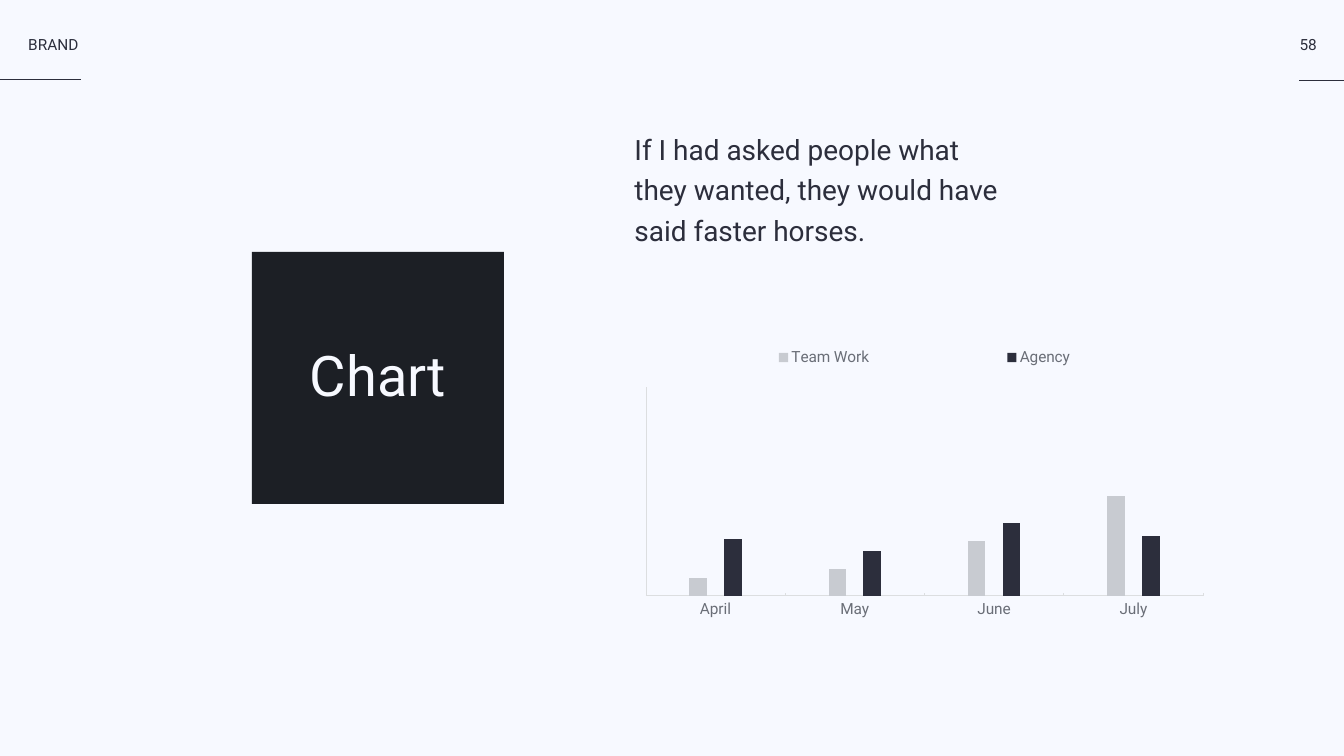
from lxml import etree
from pptx import Presentation
from pptx.chart.data import CategoryChartData
from pptx.dml.color import RGBColor
from pptx.enum.chart import XL_CHART_TYPE, XL_LEGEND_POSITION, XL_TICK_LABEL_POSITION, XL_TICK_MARK
from pptx.enum.shapes import MSO_CONNECTOR, MSO_SHAPE
from pptx.enum.text import MSO_ANCHOR, MSO_AUTO_SIZE, PP_ALIGN
from pptx.oxml import parse_xml
from pptx.oxml.ns import nsdecls, qn
from pptx.util import Inches, Pt

COLUMNS = XL_CHART_TYPE.COLUMN_CLUSTERED
LEGEND_TOP = XL_LEGEND_POSITION.TOP
LABELS_LOW = XL_TICK_LABEL_POSITION.LOW
LABELS_NONE = XL_TICK_LABEL_POSITION.NONE
TICK_INSIDE = XL_TICK_MARK.INSIDE
TICK_NONE = XL_TICK_MARK.NONE
STRAIGHT = MSO_CONNECTOR.STRAIGHT
RECTANGLE = MSO_SHAPE.RECTANGLE
TOP = MSO_ANCHOR.TOP
FIT_SHAPE = MSO_AUTO_SIZE.SHAPE_TO_FIT_TEXT
LEFT = PP_ALIGN.LEFT
CENTER = PP_ALIGN.CENTER

BACKGROUND = RGBColor(0xF7, 0xF9, 0xFF)
INK = RGBColor(0x2C, 0x2E, 0x3C)
SQUARE = RGBColor(0x1C, 0x1F, 0x25)
SILVER = RGBColor(0xC8, 0xCB, 0xD1)
LABEL = RGBColor(0x6A, 0x6E, 0x77)
AXIS = RGBColor(0xDC, 0xDE, 0xE0)
FONT = "Roboto"


def write_text(shape, box, text, size, color, alignment=LEFT, spacing=None):
    shape.left, shape.top, shape.width, shape.height = [Inches(value) for value in box]
    frame = shape.text_frame
    frame.margin_left = frame.margin_right = frame.margin_top = frame.margin_bottom = 0
    frame.word_wrap = False
    frame.auto_size = FIT_SHAPE
    frame.vertical_anchor = TOP
    frame.text = text
    for paragraph in frame.paragraphs:
        paragraph.alignment = alignment
        paragraph.line_spacing = spacing
        for run in paragraph.runs:
            run.font.name = FONT
            run.font.size = Pt(size)
            run.font.color.rgb = color


def set_layout(parent, position, x, y, width, height, target=""):
    """Place the plot or legend by fractions of the chart area."""
    for old in parent.findall(qn("c:layout")):
        parent.remove(old)
    parent.insert(position, parse_xml(
        f'<c:layout {nsdecls("c")}><c:manualLayout>{target}'
        '<c:xMode val="edge"/><c:yMode val="edge"/>'
        f'<c:x val="{x}"/><c:y val="{y}"/><c:w val="{width}"/><c:h val="{height}"/>'
        '</c:manualLayout></c:layout>'))


presentation = Presentation()
presentation.slide_width = Inches(26.67)
presentation.slide_height = Inches(15)
slide = presentation.slides.add_slide(presentation.slide_layouts[5])
slide.background.fill.solid()
slide.background.fill.fore_color.rgb = BACKGROUND
shapes = slide.shapes

# Header: a rule under the name and under the page number
for start, end, y in [(0, 1.61, 1.58), (25.78, 26.67, 1.6)]:
    rule = shapes.add_connector(STRAIGHT, Inches(start), Inches(y), Inches(end), Inches(y))
    rule.line.color.rgb = INK
    rule.line.width = Pt(2)
    etree.SubElement(rule.element.spPr, qn("a:effectLst"))

for box, text, alignment in [
    ((0.56, 0.69, 1.05, 0.4), "BRAND", LEFT),
    ((25.78, 0.69, 0.36, 0.4), "58", CENTER),
]:
    write_text(shapes.add_textbox(0, 0, 0, 0), box, text, 22, INK, alignment)

# Title on a dark square
square = shapes.add_shape(RECTANGLE, Inches(5), Inches(5), Inches(5), Inches(5))
square.shadow.inherit = False
square.fill.solid()
square.fill.fore_color.rgb = SQUARE
square.line.fill.background()
write_text(shapes.title, (6.12, 6.76, 2.77, 1.47), "Chart", 80, BACKGROUND, CENTER)
square.element.addnext(shapes.title.element)

# Chart
chart_data = CategoryChartData()
chart_data.categories = ["April", "May", "June", "July"]
chart_data.add_series("Team Work", [18, 27, 55, 100])
chart_data.add_series("Agency", [57, 45, 73, 60])
chart = shapes.add_chart(COLUMNS, Inches(12.59), Inches(6.84), Inches(11.29), Inches(5.66),
                         chart_data).chart
chart.has_title = False
chart.font.name = FONT
chart.font.size = Pt(22)
chart.font.color.rgb = LABEL

plot = chart.plots[0]
plot.gap_width = 500
plot.overlap = -100
plot.vary_by_categories = False
for series, color in zip(plot.series, [SILVER, INK]):
    series.format.fill.solid()
    series.format.fill.fore_color.rgb = color

for axis, labels, tick in [
    (chart.category_axis, LABELS_LOW, TICK_INSIDE),
    (chart.value_axis, LABELS_NONE, TICK_NONE),
]:
    axis.has_major_gridlines = False
    axis.tick_label_position = labels
    axis.major_tick_mark = tick
    axis.minor_tick_mark = TICK_NONE
    axis.format.line.color.rgb = AXIS
    axis.format.line.width = Pt(1)
chart.value_axis.minimum_scale = 0
chart.value_axis.maximum_scale = 208
chart.value_axis.major_unit = 104

chart.has_legend = True
chart.legend.position = LEGEND_TOP
chart.legend.include_in_layout = True
chart.legend.font.name = FONT
chart.legend.font.size = Pt(22)
chart.legend.font.color.rgb = LABEL

plot_area = chart.element.find(".//" + qn("c:plotArea"))
legend = chart.element.find(".//" + qn("c:legend"))
set_layout(plot_area, 0, 0.02, 0.15, 0.98, 0.73, '<c:layoutTarget val="inner"/>')
set_layout(legend, 1, 0.02, 0, 0.98, 0.09)

# Quotation
quotation = "\n".join([
    "If I had asked people what",
    "they wanted, they would have",
    "said faster horses.",
])
write_text(shapes.add_textbox(0, 0, 0, 0), (12.59, 2.5, 7.33, 2.5), quotation, 40, INK, spacing=1.2)

presentation.save("out.pptx")
